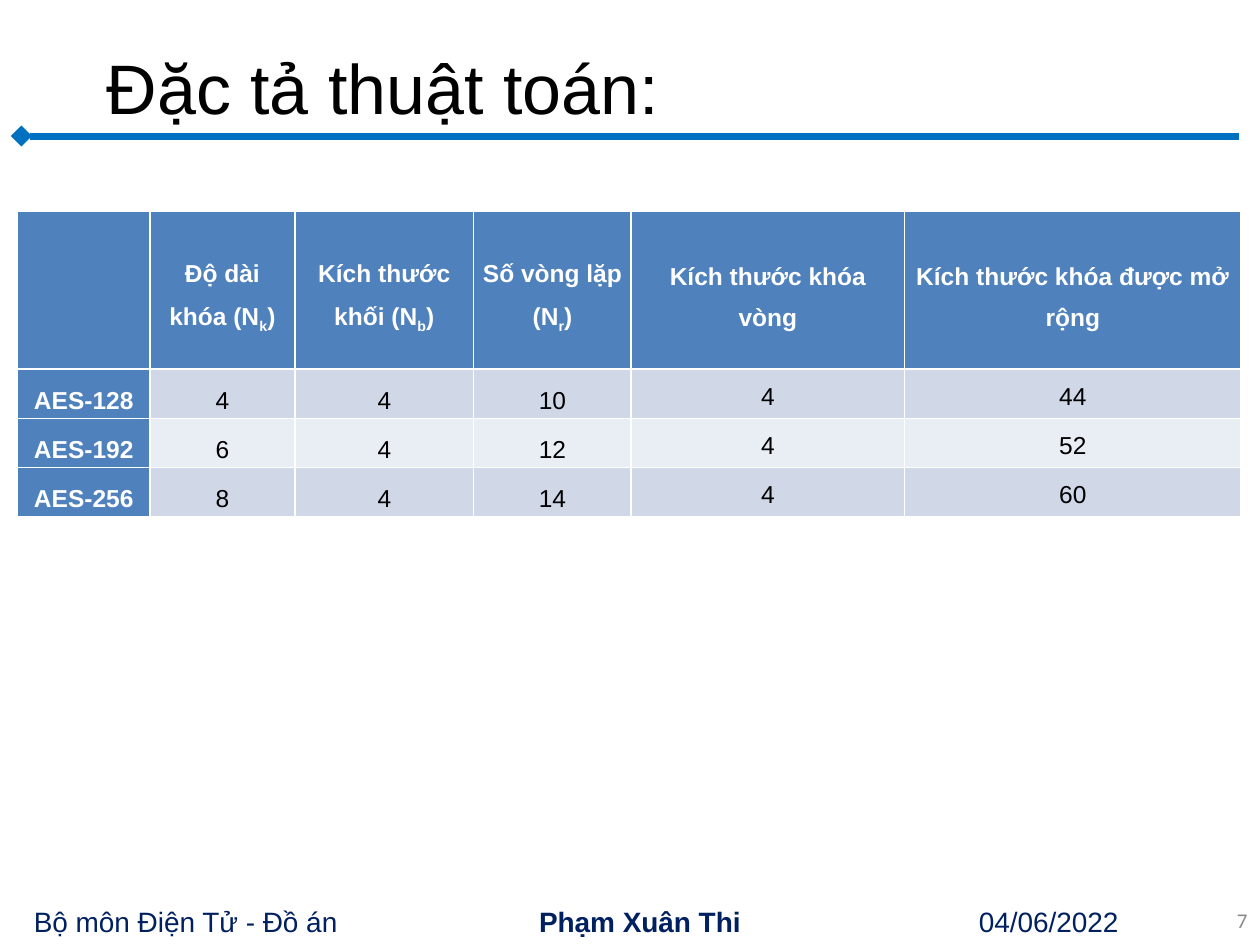
from lxml import etree
from pptx import Presentation
from pptx.dml.color import RGBColor
from pptx.enum.shapes import MSO_CONNECTOR
from pptx.enum.text import MSO_ANCHOR, PP_ALIGN
from pptx.oxml.ns import qn
from pptx.util import Inches, Pt

LEFT, CENTER, RIGHT = PP_ALIGN.LEFT, PP_ALIGN.CENTER, PP_ALIGN.RIGHT
TOP, MIDDLE = MSO_ANCHOR.TOP, MSO_ANCHOR.MIDDLE
BLUE, NAVY, GRAY = "0070C0", "002060", "898989"
WHITE, BLACK = "FFFFFF", "000000"
HEAD, BANDS = "4F81BD", ("D0D8E8", "E9EDF4")

TEXTS = [
    ("Đặc tả thuật toán:", (0.75, 0.3, 8.75, 0.78), 40, "Arial", BLACK, False, LEFT, MIDDLE),
    ("Bộ môn Điện Tử - Đồ án", (0.17, 7.13, 3.42, 0.37), 16, "Arial", NAVY, False, LEFT, TOP),
    ("Phạm Xuân Thi", (4.18, 7.13, 1.89, 0.37), 16, "Arial", NAVY, True, LEFT, TOP),
    ("04/06/2022", (7.67, 7.13, 3, 0.37), 16, "Arial", NAVY, False, LEFT, TOP),
    ("7", (7.67, 7.1, 2.33, 0.4), 12, "Calibri", GRAY, False, RIGHT, MIDDLE),
]
HEADERS = [
    ("",),
    ("Độ dài khóa (N", "k", ")"),
    ("Kích thước khối (N", "b", ")"),
    ("Số vòng lặp (N", "r", ")"),
    ("Kích thước khóa vòng",),
    ("Kích thước khóa được mở rộng",),
]
VARIANTS = [
    ("AES-128", 4, 4, 10, 4, 44),
    ("AES-192", 6, 4, 12, 4, 52),
    ("AES-256", 8, 4, 14, 4, 60),
]
COL_WIDTHS = (1.05, 1.15, 1.42, 1.25, 2.17, 2.67)
ROW_HEIGHTS = (1.25, 0.39, 0.39, 0.39)
TABLE_LEFT, TABLE_TOP = 0.14, 1.68
RULE_Y, RULE_MARGIN = 1.08, 0.17


def rgb(value):
    return RGBColor.from_string(value)


def style(font, size, name, color, bold):
    font.size, font.name, font.bold = Pt(size), name, bold
    font.color.rgb = rgb(color)


def add_text(s, text, box, size, name, color, bold, align, anchor):
    tf = s.shapes.add_textbox(*map(Inches, box)).text_frame
    tf.word_wrap = True
    tf.vertical_anchor = anchor
    tf.text = text
    p = tf.paragraphs[0]
    p.alignment = align
    style(p.runs[0].font, size, name, color, bold)


def add_rule(s):
    y = Inches(RULE_Y)
    line = s.shapes.add_connector(
        MSO_CONNECTOR.STRAIGHT, Inches(RULE_MARGIN), y, Inches(10 - RULE_MARGIN), y)
    line.line.color.rgb = rgb(BLUE)
    line.line.width = Pt(4)
    etree.SubElement(line.line._get_or_add_ln(), qn("a:headEnd"), type="diamond")
    etree.SubElement(line._element.spPr, qn("a:effectLst"))


def fill_cell(cell, parts, fill, color, bold, anchor):
    cell.fill.solid()
    cell.fill.fore_color.rgb = rgb(fill)
    cell.margin_left = cell.margin_right = Inches(0.07)
    cell.margin_top = cell.margin_bottom = 0
    cell.vertical_anchor = anchor
    p = cell.text_frame.paragraphs[0]
    p.alignment = CENTER
    p.line_spacing = 1.5
    for i, part in enumerate(parts):
        r = p.add_run()
        r.text = part
        style(r.font, 14, "Arial", color, bold)
        if i == 1:
            r.font._element.set("baseline", "-25000")


def add_key_table(s):
    rows = [HEADERS] + [[(str(v),) for v in row] for row in VARIANTS]
    table = s.shapes.add_table(
        len(rows), len(COL_WIDTHS), Inches(TABLE_LEFT), Inches(TABLE_TOP),
        Inches(sum(COL_WIDTHS)), Inches(sum(ROW_HEIGHTS))).table
    table.first_col = True
    for column, width in zip(table.columns, COL_WIDTHS):
        column.width = Inches(width)
    for row, height in zip(table.rows, ROW_HEIGHTS):
        row.height = Inches(height)
    for i, row in enumerate(rows):
        for j, parts in enumerate(row):
            heading = i == 0 or j == 0
            fill_cell(table.cell(i, j), parts,
                      HEAD if heading else BANDS[(i - 1) % 2],
                      WHITE if heading else BLACK, heading,
                      TOP if i > 0 and j > 3 else MIDDLE)


prs = Presentation()
prs.slide_width, prs.slide_height = Inches(10), Inches(7.5)
s = prs.slides.add_slide(prs.slide_layouts[6])
add_rule(s)
for item in TEXTS:
    add_text(s, *item)
add_key_table(s)
prs.save("out.pptx")
